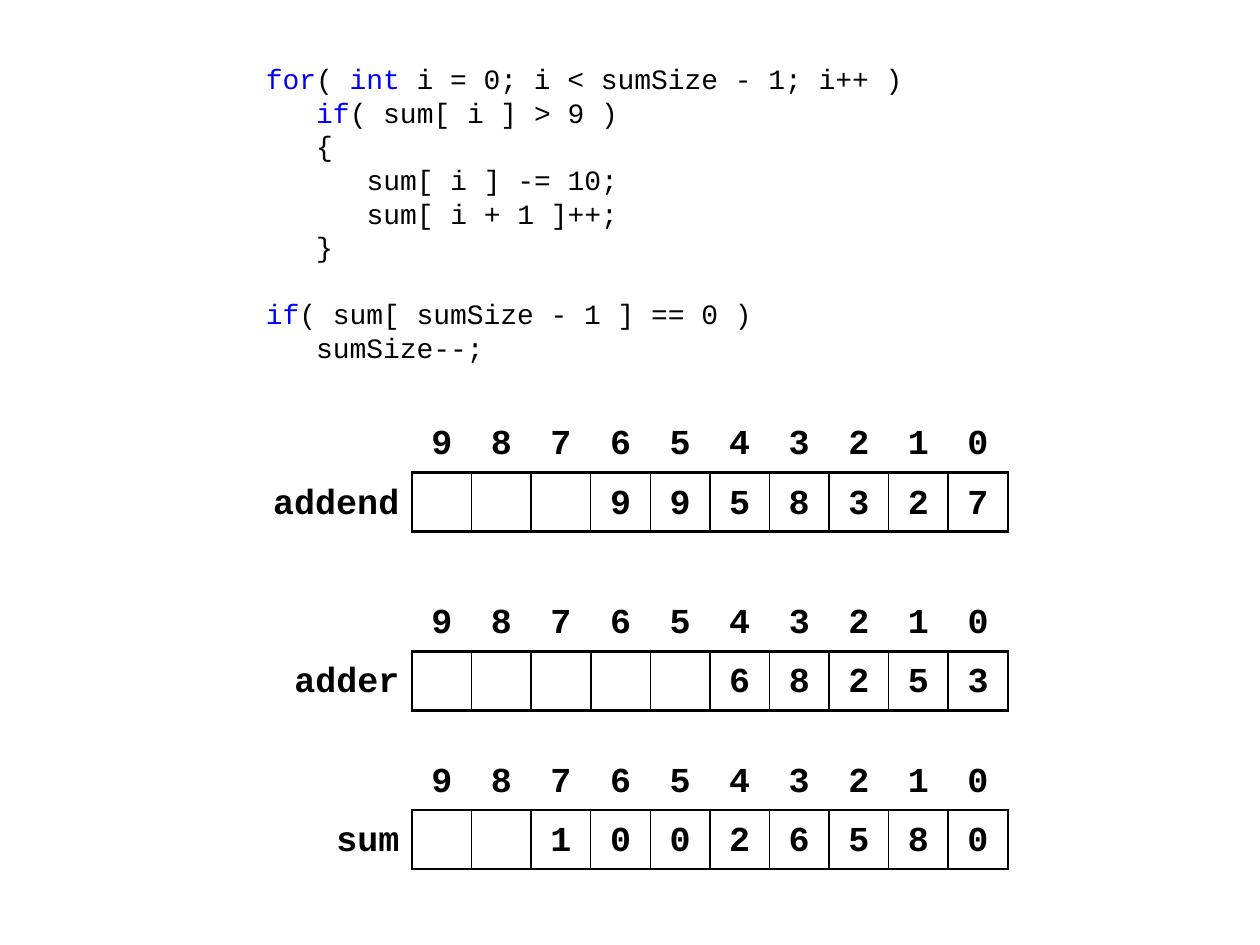
"""Build a slide with carry-propagation code and its three digit arrays."""
from lxml import etree
from pptx import Presentation
from pptx.dml.color import RGBColor
from pptx.enum.text import MSO_ANCHOR, MSO_AUTO_SIZE, PP_ALIGN
from pptx.oxml.ns import qn
from pptx.util import Inches, Pt

TOP, NO_FIT = MSO_ANCHOR.TOP, MSO_AUTO_SIZE.NONE
CENTER, RIGHT = PP_ALIGN.CENTER, PP_ALIGN.RIGHT
BLACK, BLUE = RGBColor(0, 0, 0), RGBColor(0, 0, 255)
FONT = "Courier New"
CODE_SIZE, LINE = 16, 19.2
INDENT = Pt(3 * 0.6 * CODE_SIZE)

# fields: indent level, blank lines before, pieces alternating plain and keyword
CODE = [
    (0, 0, ["", "for", "( ", "int", " i = 0; i < sumSize - 1; i++ )"]),
    (1, 0, ["", "if", "( sum[ i ] > 9 )"]),
    (1, 0, ["{"]),
    (2, 0, ["sum[ i ] -= 10;"]),
    (2, 0, ["sum[ i + 1 ]++;"]),
    (1, 0, ["}"]),
    (0, 1, ["", "if", "( sum[ sumSize - 1 ] == 0 )"]),
    (1, 0, ["sumSize--;"]),
]
ARRAYS = [
    ("addend", "9958327", 3.28, 1.26),
    ("adder", "68253", 4.7, 1.1),
    ("sum", "10026580", 5.96, 0.79),
]
DIGITS = 10
GRID_LEFT, GRID_WIDTH, ROW = 3.27, 4.73, 0.47
THICK, THIN = 1.5, 1


def add_run(p, text, size, color=BLACK, bold=False):
    r = p.add_run()
    r.text = text
    r.font.color.rgb = color
    for name, value in dict(name=FONT, size=Pt(size), bold=bold).items():
        setattr(r.font, name, value)


def set_borders(cell, widths):
    tc_pr = cell._tc.get_or_add_tcPr()
    for i, (side, width) in enumerate(zip("LRTB", widths)):
        ln = etree.Element(qn("a:ln" + side), w=str(Pt(width)))
        if width:
            fill = etree.SubElement(ln, qn("a:solidFill"))
            etree.SubElement(fill, qn("a:srgbClr"), val=str(BLACK))
        else:
            etree.SubElement(ln, qn("a:noFill"))
        tc_pr.insert(i, ln)


def border_widths(row, col):
    if row == 0:
        return 0, 0, 0, THICK if col else 0
    if col == 0:
        return 0, THICK, 0, 0
    return THICK if col == 1 else THIN, THICK if col == DIGITS else THIN, THICK, THICK


def add_code(s):
    title, sp = s.placeholders
    title.element.getparent().remove(title.element)
    box = dict(left=2.01, top=0.44, width=5.99, height=2.52)
    for name, value in box.items():
        setattr(sp, name, Inches(value))
    tf = sp.text_frame
    tf.word_wrap, tf.auto_size, tf.vertical_anchor = True, NO_FIT, TOP
    for i, (level, blanks, pieces) in enumerate(CODE):
        p = tf.add_paragraph() if i else tf.paragraphs[0]
        p.line_spacing = Pt(LINE)
        p.space_before = Pt(LINE * blanks)
        p_pr = p._p.get_or_add_pPr()
        p_pr.set("marL", str(int(INDENT * level)))
        p_pr.set("indent", "0")
        etree.SubElement(p_pr, qn("a:buNone"))
        for j, piece in enumerate(pieces):
            if piece:
                add_run(p, piece, CODE_SIZE, BLUE if j % 2 else BLACK)


def add_array(s, label, digits, top, label_width):
    rows = [[""] + [str(n) for n in reversed(range(DIGITS))],
            [label] + [""] * (DIGITS - len(digits)) + list(digits)]
    table = s.shapes.add_table(2, DIGITS + 1, Inches(GRID_LEFT - label_width), Inches(top),
                               Inches(label_width + GRID_WIDTH), Inches(2 * ROW)).table
    table.first_row = table.horz_banding = False
    for c, column in enumerate(table.columns):
        column.width = Inches(GRID_WIDTH / DIGITS if c else label_width)
    for r, texts in enumerate(rows):
        for c, text in enumerate(texts):
            cell = table.cell(r, c)
            side = Inches(0.04 if c else 0.1)
            formats = dict(margin_left=side, margin_right=side, margin_top=Inches(0.02),
                           margin_bottom=Inches(0.02), vertical_anchor=TOP)
            for name, value in formats.items():
                setattr(cell, name, value)
            cell.fill.background()
            set_borders(cell, border_widths(r, c))
            if text:
                p = cell.text_frame.paragraphs[0]
                p.alignment = CENTER if c else RIGHT
                p.line_spacing = 1.25
                add_run(p, text, 20, bold=True)


prs = Presentation()
prs.slide_width, prs.slide_height = Inches(10), Inches(7.5)
s = prs.slides.add_slide(prs.slide_layouts[1])
add_code(s)
for array in ARRAYS:
    add_array(s, *array)
prs.save("out.pptx")
